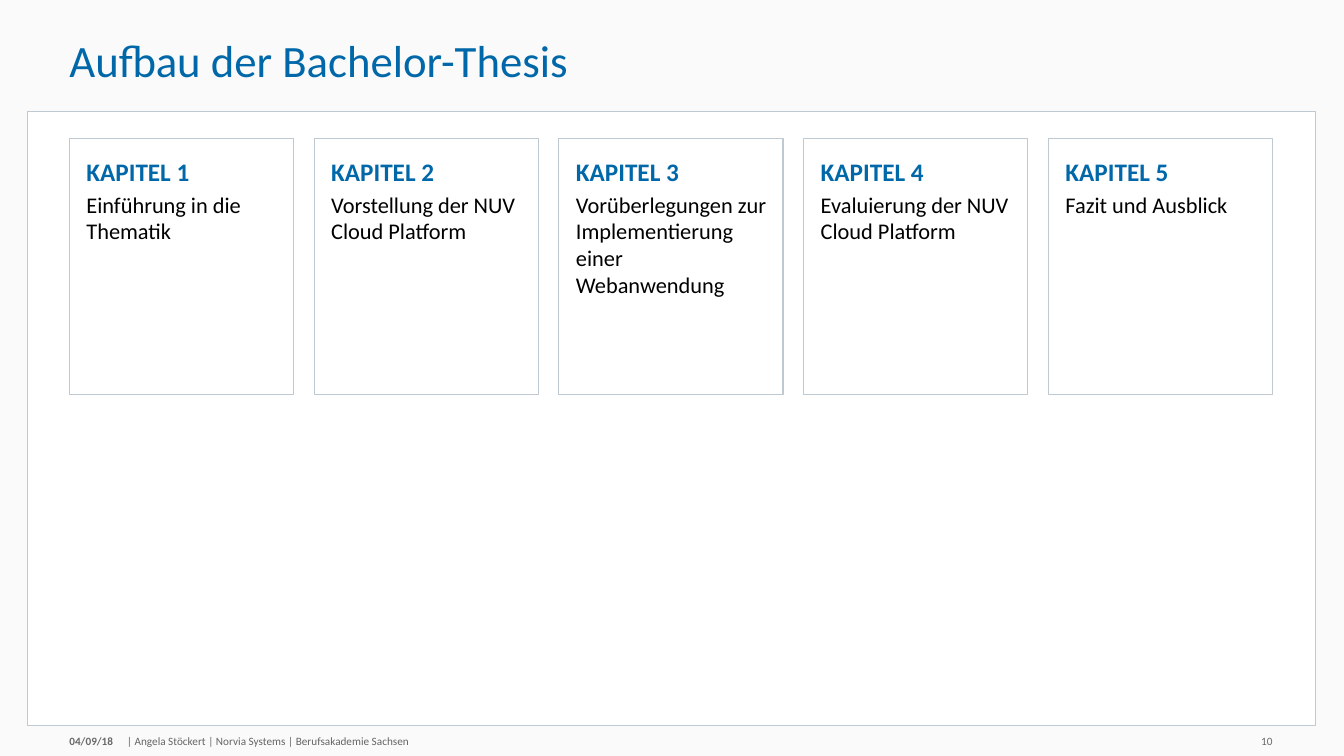
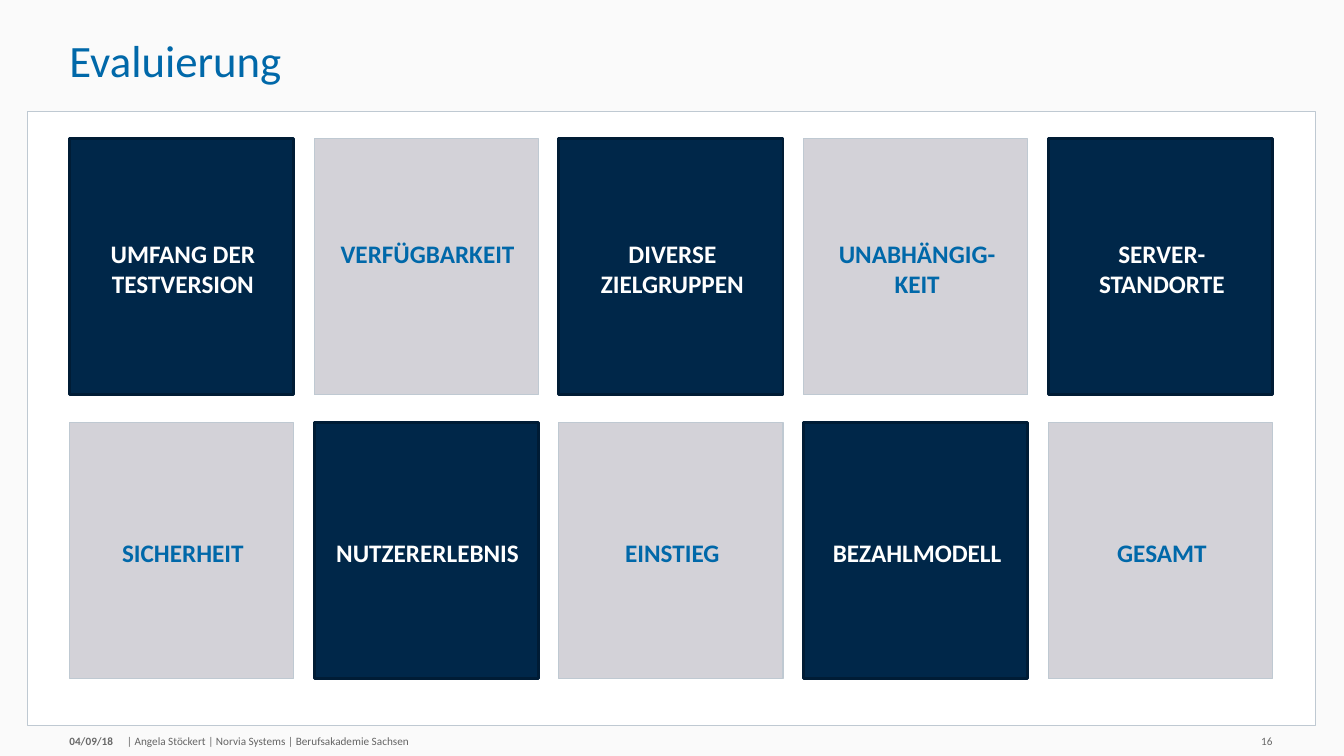
from pptx import Presentation
from pptx.dml.color import RGBColor
from pptx.enum.shapes import MSO_SHAPE
from pptx.enum.text import MSO_ANCHOR, MSO_AUTO_SIZE, PP_ALIGN
from pptx.util import Cm, Pt

RECTANGLE = MSO_SHAPE.RECTANGLE
TOP, MIDDLE = MSO_ANCHOR.TOP, MSO_ANCHOR.MIDDLE
LEFT, CENTER, RIGHT = PP_ALIGN.LEFT, PP_ALIGN.CENTER, PP_ALIGN.RIGHT
NO_AUTOFIT = MSO_AUTO_SIZE.NONE

PAPER = RGBColor(0xFA, 0xFA, 0xFA)
WHITE = RGBColor(0xFF, 0xFF, 0xFF)
BLACK = RGBColor(0x00, 0x00, 0x00)
BLUE = RGBColor(0x00, 0x68, 0xA9)
NAVY = RGBColor(0x00, 0x27, 0x49)
NAVY_EDGE = RGBColor(0x00, 0x1C, 0x35)
SILVER = RGBColor(0xD3, 0xD2, 0xD8)
EDGE = RGBColor(0xBF, 0xC9, 0xD2)
DATE_GREY = RGBColor(0x68, 0x68, 0x68)
FOOTER_GREY = RGBColor(0x64, 0x64, 0x64)

FONT = "Calibri"
MARGIN = 1.75
FOOTER_TOP = 18.5
COLUMNS = 5
TILE_TOP, TILE_WIDTH, TILE_HEIGHT = 3.5, 5.65, 6.45
COLUMN_STEP, ROW_STEP = 6.17, 7.15

CHAPTERS = [
    "Einführung in die Thematik",
    "Vorstellung der NUV Cloud Platform",
    "Vorüberlegungen zur Implementierung einer Webanwendung",
    "Evaluierung der NUV Cloud Platform",
    "Fazit und Ausblick",
]
# Lines of each criterion, and how much its text is raised by extra bottom inset
CRITERIA = [
    (["UMFANG DER TESTVERSION"], 0),
    (["VERFÜGBARKEIT"], 0.75),
    (["DIVERSE ZIELGRUPPEN"], 0),
    (["UNABHÄNGIG-", "KEIT"], 0),
    (["SERVER-", "STANDORTE"], 0),
    (["SICHERHEIT"], 0),
    (["NUTZERERLEBNIS"], 0),
    (["EINSTIEG"], 0),
    (["BEZAHLMODELL"], 0),
    (["GESAMT"], 0),
]


class Slides:
    """Holds the deck, its style and the page being built."""

    def __init__(self):
        self.deck = Presentation()
        self.deck.slide_width, self.deck.slide_height = Cm(33.88), Cm(19.05)
        fill = self.deck.slide_master.background.fill
        fill.solid()
        fill.fore_color.rgb = PAPER
        self.page = None

    def new_page(self, title, number):
        self.page = self.deck.slides.add_slide(self.deck.slide_layouts[5])
        self.title(title)
        self.rectangle(0.7, 2.8, 32.46, 15.49, WHITE, EDGE)
        self.footer(MARGIN, 1.42, "04/09/18", DATE_GREY, bold=True)
        self.footer(3.2, 11.86,
                    "| Angela Stöckert | Norvia Systems | Berufsakademie Sachsen",
                    FOOTER_GREY)
        self.footer(31.29, 0.79, str(number), DATE_GREY, align=RIGHT)

    def title(self, text):
        box = self.page.shapes.title
        box.left, box.top, box.width, box.height = Cm(MARGIN), Cm(0.97), Cm(27.18), Cm(1.22)
        self.frame(box, MIDDLE)
        para = box.text_frame.paragraphs[0]
        self.set_text(para, text, 32, BLUE)
        para.line_spacing = 0.9

    def footer(self, left, width, text, color, bold=False, align=LEFT):
        box = self.page.shapes.add_textbox(Cm(left), Cm(FOOTER_TOP), Cm(width), Cm(0.33))
        self.frame(box, MIDDLE)
        self.set_text(box.text_frame.paragraphs[0], text, 8, color, bold, align)

    def rectangle(self, left, top, width, height, fill, edge, weight=0.75):
        box = self.page.shapes.add_shape(RECTANGLE, Cm(left), Cm(top), Cm(width), Cm(height))
        box.shadow.inherit = False
        if fill is None:
            box.fill.background()
        else:
            box.fill.solid()
            box.fill.fore_color.rgb = fill
        box.line.color.rgb = edge
        box.line.width = Pt(weight)
        return box

    def tile(self, index, fill, edge, weight, anchor, lift=0):
        row, column = divmod(index, COLUMNS)
        box = self.rectangle(MARGIN + column * COLUMN_STEP, TILE_TOP + row * ROW_STEP,
                             TILE_WIDTH, TILE_HEIGHT, fill, edge, weight)
        self.frame(box, anchor, (0.43, 0.43, 0.36, 0.36 + lift))
        return box.text_frame

    def chapter(self, index, text):
        frame = self.tile(index, None, EDGE, 0.75, TOP)
        self.set_text(frame.paragraphs[0], f"KAPITEL {index + 1}", 18, BLUE, bold=True)
        para = frame.add_paragraph()
        self.set_text(para, text, 16, BLACK)
        para.space_before = Pt(3.2)

    def criterion(self, index, lines, lift):
        # Dark and light tiles alternate
        if index % 2 == 0:
            fill, edge, weight, color = NAVY, NAVY_EDGE, 2, WHITE
        else:
            fill, edge, weight, color = SILVER, EDGE, 0.75, BLUE
        frame = self.tile(index, fill, edge, weight, MIDDLE, lift)
        for position, line in enumerate(lines):
            para = frame.add_paragraph() if position else frame.paragraphs[0]
            self.set_text(para, line, 18, color, bold=True, align=CENTER)

    @staticmethod
    def frame(box, anchor, insets=(0, 0, 0, 0)):
        frame = box.text_frame
        frame.word_wrap = True
        frame.auto_size = NO_AUTOFIT
        frame.vertical_anchor = anchor
        (frame.margin_left, frame.margin_top,
         frame.margin_right, frame.margin_bottom) = map(Cm, insets)

    @staticmethod
    def set_text(para, text, size, color, bold=False, align=LEFT):
        para.text = text
        para.alignment = align
        font = para.font
        font.name, font.size, font.bold = FONT, Pt(size), bold
        font.color.rgb = color


def main():
    slides = Slides()

    # Structure of the thesis
    slides.new_page("Aufbau der Bachelor-Thesis", 10)
    for index, text in enumerate(CHAPTERS):
        slides.chapter(index, text)

    # Evaluation criteria
    slides.new_page("Evaluierung", 16)
    for index, (lines, lift) in enumerate(CRITERIA):
        slides.criterion(index, lines, lift)

    slides.deck.save("out.pptx")


if __name__ == "__main__":
    main()
